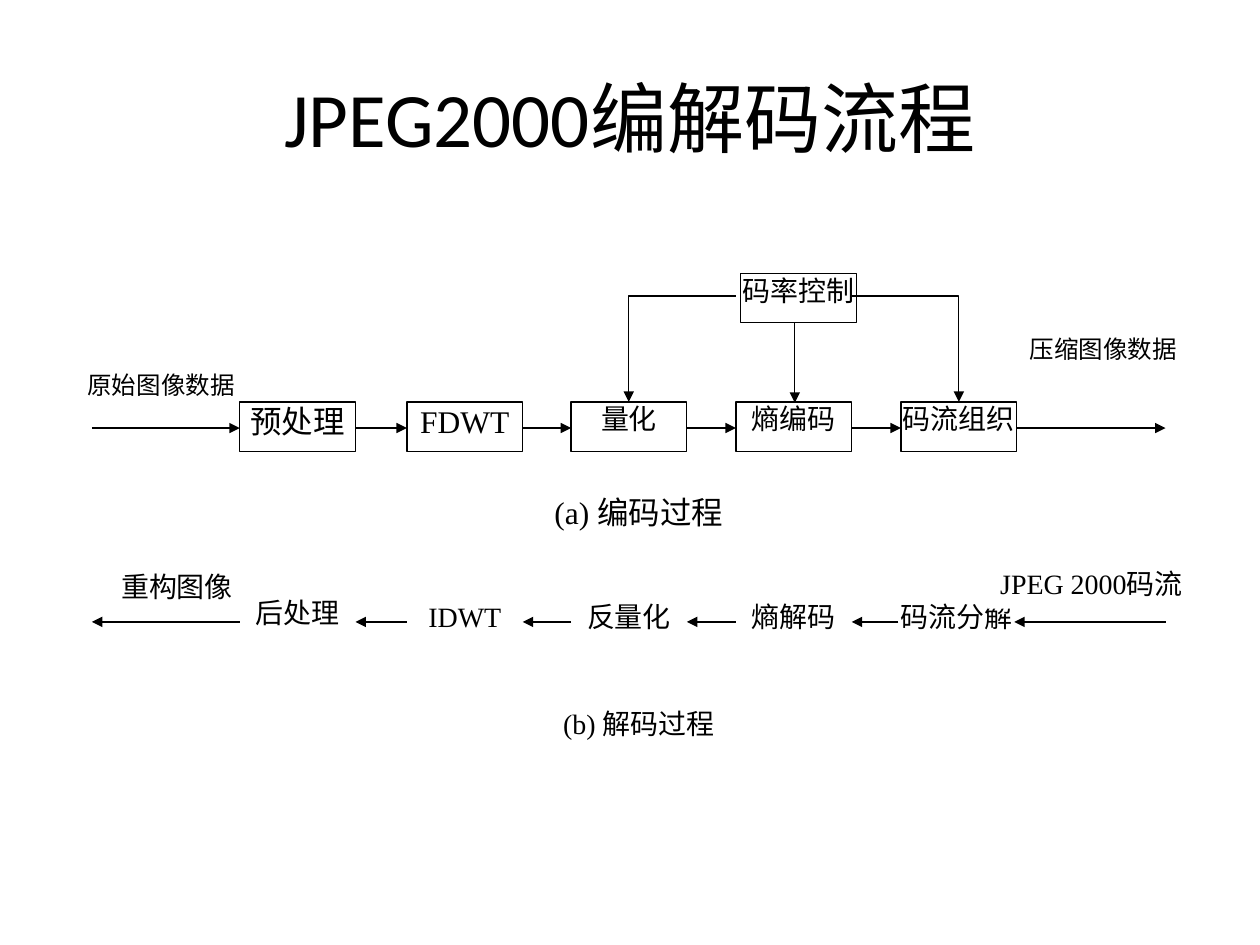
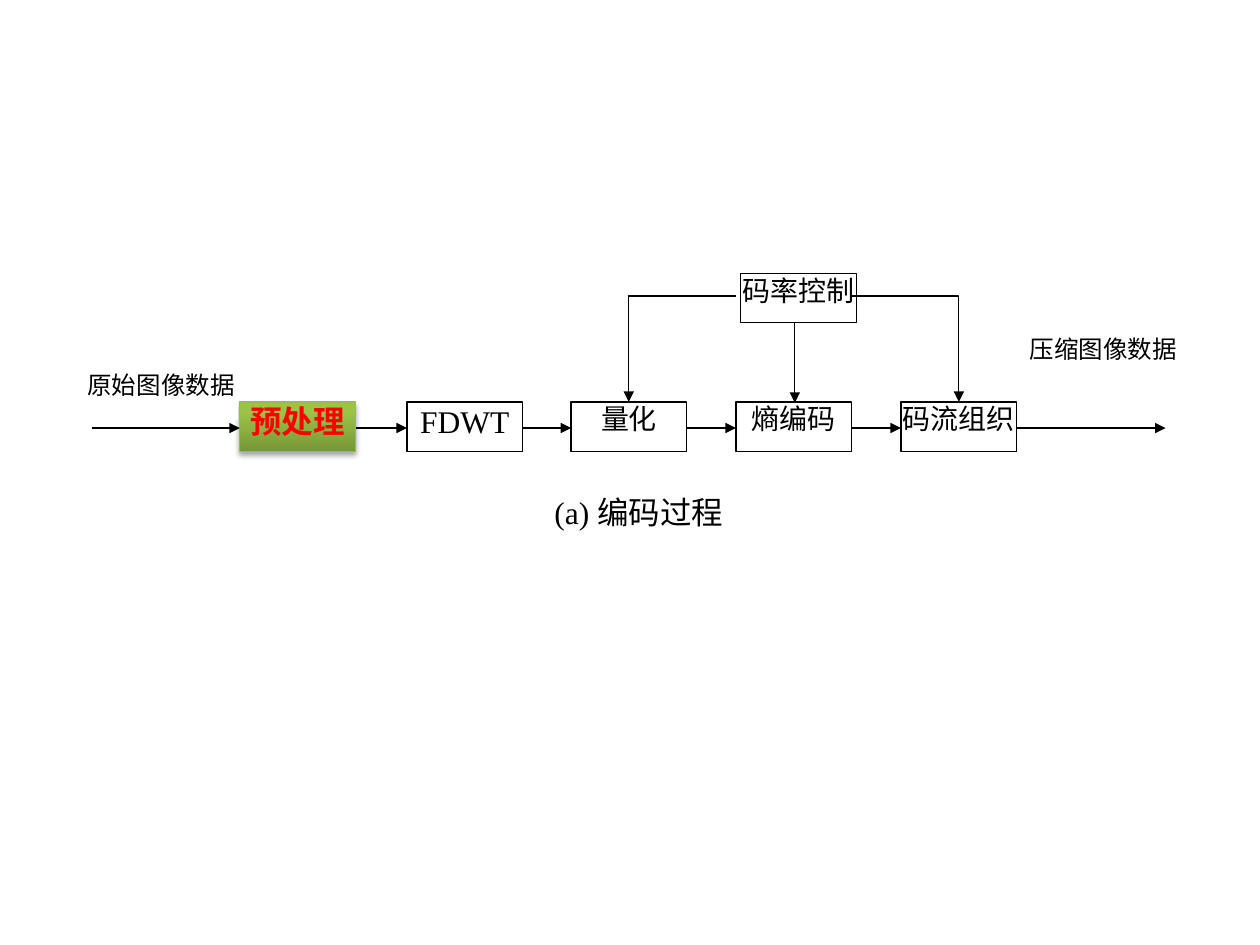
from typing import NamedTuple

from lxml import etree
from pptx import Presentation
from pptx.dml.color import RGBColor
from pptx.enum.shapes import MSO_CONNECTOR, MSO_SHAPE
from pptx.enum.text import MSO_ANCHOR, PP_ALIGN
from pptx.oxml.ns import qn
from pptx.shapes.autoshape import Shape
from pptx.shapes.shapetree import GroupShapes, SlideShapes
from pptx.util import Pt

BLACK = RGBColor(0x00, 0x00, 0x00)
WHITE = RGBColor(0xFF, 0xFF, 0xFF)
RED = RGBColor(0xFF, 0x00, 0x00)
MOSS = RGBColor(0x77, 0x97, 0x37)
LIME = RGBColor(0x9B, 0xC3, 0x48)
LEAF = RGBColor(0x98, 0xB9, 0x55)

RECT = MSO_SHAPE.RECTANGLE
LINE = MSO_CONNECTOR.STRAIGHT
BENT = MSO_CONNECTOR.ELBOW
TOP = MSO_ANCHOR.TOP
MIDDLE = MSO_ANCHOR.MIDDLE
CENTER = PP_ALIGN.CENTER

SERIF = "Times New Roman"
SANS = "Calibri"
THIN = 0.75
BOX_W = 66.2
BOX_H = 28.2
LEFTS = (137, 232.5, 326.3, 420.5, 514.8)
START = 52.5
END = 666
CODE_Y = 229.7
MID_Y = 244.6
BACK_Y = 342.5
BACK_MID = 355.4
RATE_Y = 169.2

Canvas = SlideShapes | GroupShapes


class Label(NamedTuple):
    text: str
    left: float
    top: float
    width: float
    height: float
    size: float = 16
    framed: bool = False


class Arrow(NamedTuple):
    x1: float
    y1: float
    x2: float
    y2: float
    bent: bool = False


CODE_STEPS = (("预处理", 18), ("FDWT", 18), ("量化", 16), ("熵编码", 16), ("码流组织", 16))
BACK_STEPS = ("后处理", "IDWT", "反量化", "熵解码", "码流分解")

CODE_BOXES = [
    Label(text, left, CODE_Y, BOX_W, BOX_H, size, True)
    for (text, size), left in zip(CODE_STEPS, LEFTS)
]
BACK_BOXES = [
    Label(text, left, BACK_Y, BOX_W, BOX_H) for text, left in zip(BACK_STEPS, LEFTS)
]
BACK_BOXES[0] = BACK_BOXES[0]._replace(top=340.4)
BACK_BOXES[-1] = BACK_BOXES[-1]._replace(left=513.4)

CODE_NOTES = (
    Label("压缩图像数据", 578.2, 190.8, 104.4, 32.4, 14),
    Label("原始图像数据", 48.2, 211.7, 87.8, 28.1, 14),
    Label("码率控制", 423.1, 156.3, BOX_W, BOX_H, 16, True),
    Label("(a) 编码过程", 312.5, 281.5, 105.1, 31, 18),
)
BACK_NOTES = (
    Label("JPEG 2000码流", 564.2, 324, 118.8, 23.8),
    Label("重构图像", 67.7, 325.4, 67, 23),
    Label("(b) 解码过程", 312.5, 403.9, 105.1, 31),
)
RATE_ARROWS = (
    Arrow(454.2, 184.4, 454.2, 230.2),
    Arrow(486.7, RATE_Y, 547.9, CODE_Y, True),
    Arrow(420.5, RATE_Y, 359.3, CODE_Y, True),
)


def write(shape: Shape, text: str, size: float, face: str, anchor: MSO_ANCHOR) -> None:
    frame = shape.text_frame
    frame.word_wrap = True
    frame.vertical_anchor = anchor
    para = frame.paragraphs[0]
    para.text = text
    para.alignment = CENTER
    para.font.size = Pt(size)
    para.font.name = face
    para.font.color.rgb = BLACK


def draw_label(canvas: Canvas, item: Label) -> Shape:
    shape = canvas.add_shape(
        RECT, Pt(item.left), Pt(item.top), Pt(item.width), Pt(item.height)
    )
    shape.shadow.inherit = False
    shape.fill.solid()
    shape.fill.fore_color.rgb = WHITE
    if item.framed:
        shape.line.color.rgb = BLACK
        shape.line.width = Pt(THIN)
    else:
        shape.line.fill.background()
    frame = shape.text_frame
    frame.margin_left = frame.margin_right = frame.margin_top = frame.margin_bottom = 0
    write(shape, item.text, item.size, SERIF, TOP)
    return shape


def draw_arrow(canvas: Canvas, item: Arrow) -> None:
    link = canvas.add_connector(
        BENT if item.bent else LINE, Pt(item.x1), Pt(item.y1), Pt(item.x2), Pt(item.y2)
    )
    link.line.color.rgb = BLACK
    link.line.width = Pt(THIN)
    props = link.element.spPr
    if item.bent:
        props.find(qn("a:prstGeom")).set("prst", "bentConnector2")
    etree.SubElement(props.find(qn("a:ln")), qn("a:tailEnd"), type="triangle")
    etree.SubElement(props, qn("a:effectLst"))


def draw_row(canvas: Canvas, boxes: list[Label], mid: float, back: bool) -> list[Shape]:
    shapes = [draw_label(canvas, box) for box in boxes]
    tails = [START] + [box.left + BOX_W for box in boxes]
    heads = [box.left for box in boxes] + [END]
    for tail, head in zip(tails, heads):
        ends = (head, tail) if back else (tail, head)
        draw_arrow(canvas, Arrow(ends[0], mid, ends[1], mid))
    return shapes


def draw_code(canvas: Canvas) -> Shape:
    shapes = draw_row(canvas, CODE_BOXES, MID_Y, False)
    for note in CODE_NOTES:
        draw_label(canvas, note)
    for arrow in RATE_ARROWS:
        draw_arrow(canvas, arrow)
    return shapes[0]


def draw_back(canvas: Canvas) -> None:
    draw_row(canvas, BACK_BOXES, BACK_MID, True)
    for note in BACK_NOTES:
        draw_label(canvas, note)


def draw_title(canvas: Canvas, text: str) -> None:
    box = canvas.add_textbox(Pt(36), Pt(21.6), Pt(648), Pt(90))
    write(box, text, 44, SANS, MIDDLE)


def mark(shape: Shape) -> None:
    shape.fill.gradient()
    shape.fill.gradient_angle = 90
    for stop, color, place in zip(shape.fill.gradient_stops, (MOSS, LIME), (0, 0.8)):
        stop.color.rgb = color
        stop.position = place
    shape.line.color.rgb = LEAF
    font = shape.text_frame.paragraphs[0].font
    font.bold = True
    font.color.rgb = RED
    shade = etree.SubElement(
        shape.element.spPr.find(qn("a:effectLst")),
        qn("a:outerShdw"),
        blurRad=str(Pt(3.1)),
        dist=str(Pt(1.8)),
        dir="5400000",
        rotWithShape="0",
    )
    color = etree.SubElement(shade, qn("a:srgbClr"), val=str(BLACK))
    etree.SubElement(color, qn("a:alpha"), val="35000")


def main() -> None:
    deck = Presentation()
    deck.slide_width = Pt(720)
    deck.slide_height = Pt(540)
    blank = deck.slide_layouts[6]

    flow = deck.slides.add_slide(blank).shapes
    draw_title(flow, "JPEG2000编解码流程")
    draw_code(flow)
    draw_back(flow)

    focus = deck.slides.add_slide(blank).shapes.add_group_shape().shapes
    mark(draw_code(focus))

    deck.save("out.pptx")


if __name__ == "__main__":
    main()
